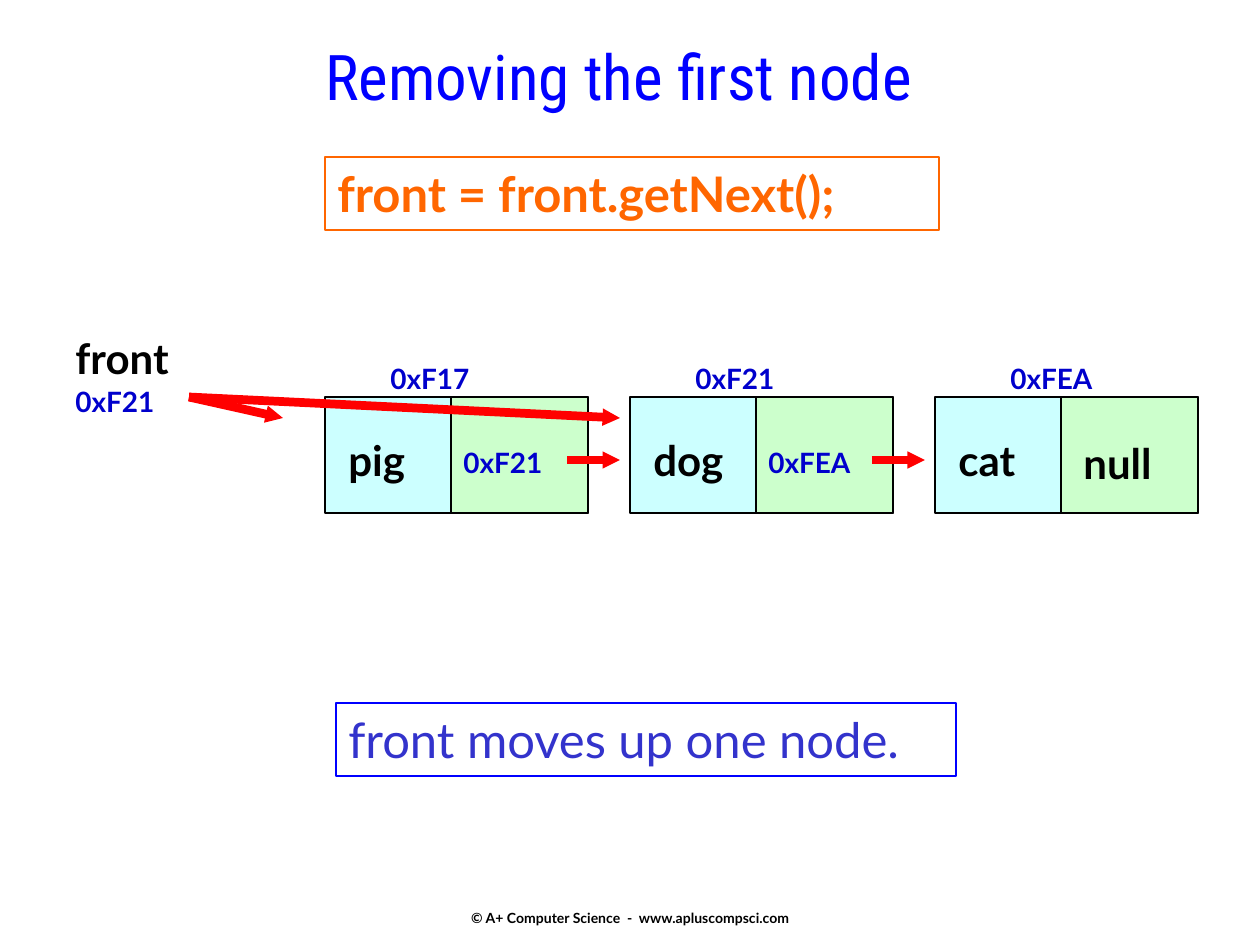
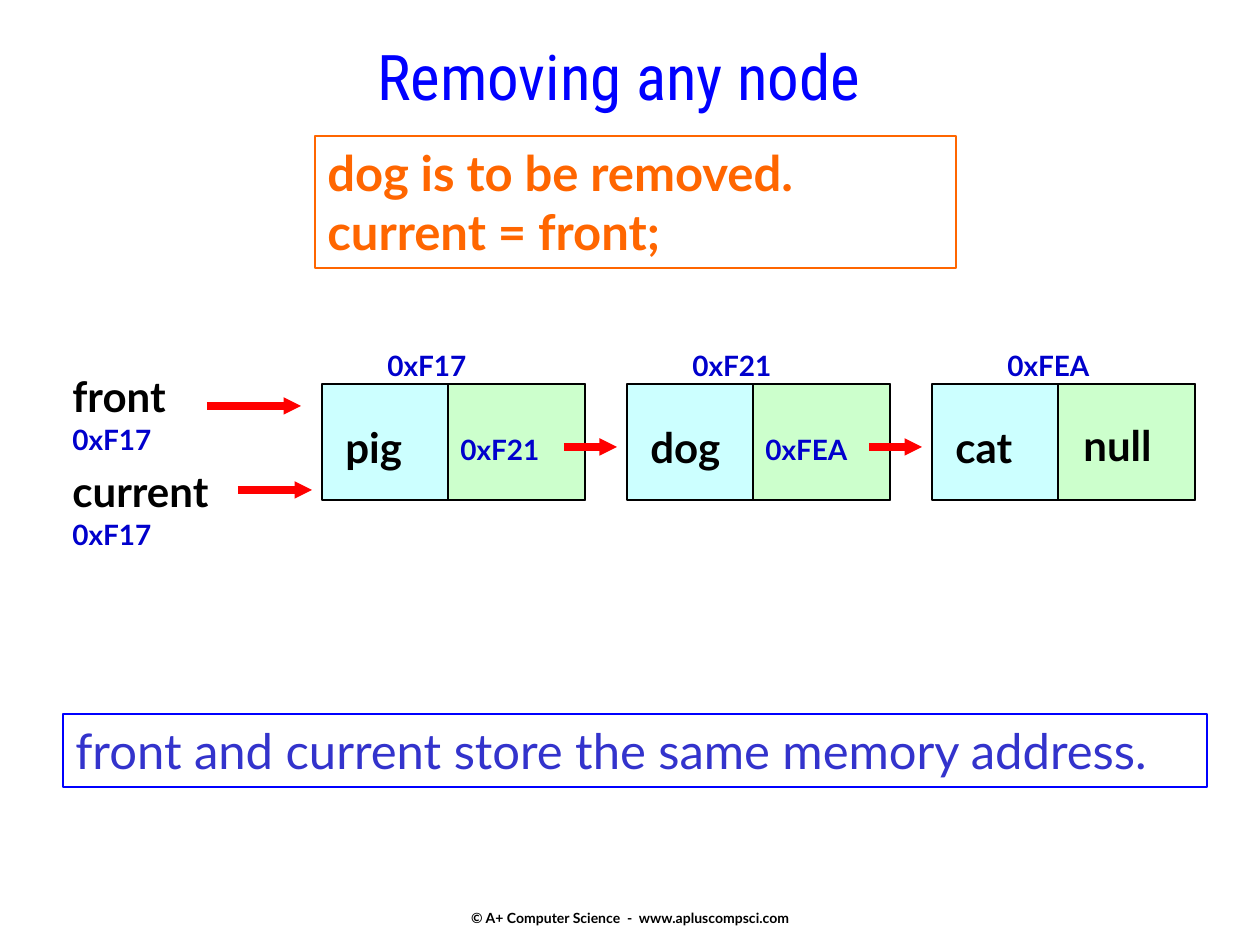
"""Builds two slides on removing nodes from a linked list."""
from lxml import etree
from pptx import Presentation
from pptx import util as u
from pptx.dml import color
from pptx.enum import shapes, text
from pptx.oxml import ns

PX = 914400 / 126
COLOURS = {
    "title": "0000FF", "code": "FF6600", "note": "3333CC", "address": "0000CC",
    "ink": "000000", "data": "CCFFFF", "link": "CCFFCC", "arrow": "FF0000",
}
STYLES = {
    "title": {"name": "Roboto Condensed", "size": u.Pt(36), "bold": False},
    "code": {"name": "Lato", "size": u.Pt(28), "bold": True},
    "note": {"name": "Lato", "size": u.Pt(28), "bold": False},
    "word": {"name": "Lato", "size": u.Pt(24), "bold": True},
    "address": {"name": "Lato", "size": u.Pt(16), "bold": True},
    "footer": {"name": "Lato", "size": u.Pt(8), "bold": True},
}
NODES = [("pig", "0xF17", 53), ("dog", "0xF21", 53), ("cat", "0xFEA", 63)]
NODE_WIDTH, NODE_HEIGHT, NODE_PITCH, LINK_OFFSET = 263, 116, 305, 126


def px(*lengths):
    """Turn px lengths into EMU."""
    return [u.Emu(round(length * PX)) for length in lengths]


def rgb(name):
    """Look up a named colour."""
    return color.RGBColor.from_string(COLOURS[name])


def set_attributes(target, values):
    """Set each attribute that the dict names."""
    for name, value in values.items():
        setattr(target, name, value)


def write(box, lines, style, **frame_format):
    """Write the lines as one paragraph in a named style."""
    frame = box.text_frame
    set_attributes(frame, {"word_wrap": True, "vertical_anchor": text.MSO_ANCHOR.TOP,
                           **frame_format})
    para = frame.paragraphs[0]
    centred = style in ("title", "footer")
    para.alignment = text.PP_ALIGN.CENTER if centred else text.PP_ALIGN.LEFT
    for number, line in enumerate(lines.split("\n")):
        if number:
            para.add_line_break()
        span = para.add_run()
        span.text = line
        set_attributes(span.font, STYLES[style])
        span.font.color.rgb = rgb(style if style in COLOURS else "ink")


def add_label(page, lines, place, style, **frame_format):
    """Add a plain text box."""
    write(page.shapes.add_textbox(*px(*place)), lines, style, **frame_format)


def add_rectangle(page, place, line, width, fill=None):
    """Add an outlined rectangle, filled if a colour is given."""
    box = page.shapes.add_shape(shapes.MSO_SHAPE.RECTANGLE, *px(*place))
    box.shadow.inherit = False
    box.line.color.rgb = rgb(line)
    box.line.width = u.Pt(width)
    if fill:
        box.fill.solid()
        box.fill.fore_color.rgb = rgb(fill)
    else:
        box.fill.background()
    return box


def add_arrow(page, start, end):
    """Add a thick red arrow with a small head."""
    arrow = page.shapes.add_connector(shapes.MSO_CONNECTOR.STRAIGHT, *px(*start, *end))
    arrow.line.color.rgb = rgb("arrow")
    arrow.line.width = u.Pt(5)
    etree.SubElement(arrow.line._get_or_add_ln(), ns.qn("a:tailEnd"),
                     type="triangle", w="sm", len="sm")
    etree.SubElement(arrow._element.spPr, ns.qn("a:effectLst"))


def add_node(page, left, top, word, address, address_offset):
    """Add a node's two cells, its word and its address."""
    add_rectangle(page, (left, top, NODE_WIDTH, NODE_HEIGHT), "ink", 1, "data")
    add_rectangle(page, (left + LINK_OFFSET, top, NODE_WIDTH - LINK_OFFSET, NODE_HEIGHT),
                  "ink", 1, "link")
    add_label(page, word, (left + 11, top + 31, 116, 63), "word")
    add_label(page, address, (left + address_offset, top - 42, 136, 47), "address")


def add_list(page, left, top, null_top):
    """Add the chain of nodes, each linked to the next."""
    for index, (word, address, offset) in enumerate(NODES):
        node_left = left + index * NODE_PITCH
        add_node(page, node_left, top, word, address, offset)
        if index + 1 < len(NODES):
            next_address = NODES[index + 1][1]
            add_label(page, next_address,
                      (node_left + LINK_OFFSET, top + 42, 136, 47), "address")
            add_arrow(page, (node_left + 242, top + 63), (node_left + 295, top + 63))
    add_label(page, "null", (1071, null_top, 136, 63), "word")


def add_pointer(page, name, address, left, top, width, start, ends):
    """Add a named reference, its address and its arrows."""
    add_label(page, name, (left, top, width, 63), "word")
    add_label(page, address, (left, top + 52, 136, 47), "address")
    for end in ends:
        add_arrow(page, start, end)


def add_page(deck, title, code, code_place, note, note_place):
    """Add a slide with its title, code box, note box and footer."""
    page = deck.slides.add_slide(deck.slide_layouts[6])
    add_label(page, title, (269, 31, 700, 73), "title")
    write(add_rectangle(page, code_place, "code", 0.75), code, "code")
    write(add_rectangle(page, note_place, "title", 1), note, "note")
    add_label(page, "© A+ Computer Science  -  www.apluscompsci.com",
              (431, 861, 399, 65), "footer",
              vertical_anchor=text.MSO_ANCHOR.BOTTOM, margin_bottom=0)
    return page


def main():
    """Build and save the deck."""
    deck = Presentation()
    deck.slide_width, deck.slide_height = px(1260, 945)

    page = add_page(deck, "Removing the first node",
                    "front = front.getNext();", (325, 157, 614, 73),
                    "front moves up one node.", (336, 703, 620, 73))
    add_list(page, 325, 397, 431)
    add_pointer(page, "front", "0xF21", 63, 326, 147,
                (189, 397), [(620, 418), (283, 418)])

    page = add_page(deck, "Removing any node",
                    "dog is to be removed.\ncurrent = front;", (315, 136, 641, 132),
                    "front and current store the same memory address.",
                    (63, 714, 1144, 73))
    add_list(page, 322, 384, 413)
    add_pointer(page, "front", "0xF17", 60, 364, 147, (207, 406), [(301, 406)])
    add_pointer(page, "current", "0xF17", 60, 459, 189, (238, 490), [(312, 490)])

    deck.save("out.pptx")


if __name__ == "__main__":
    main()
